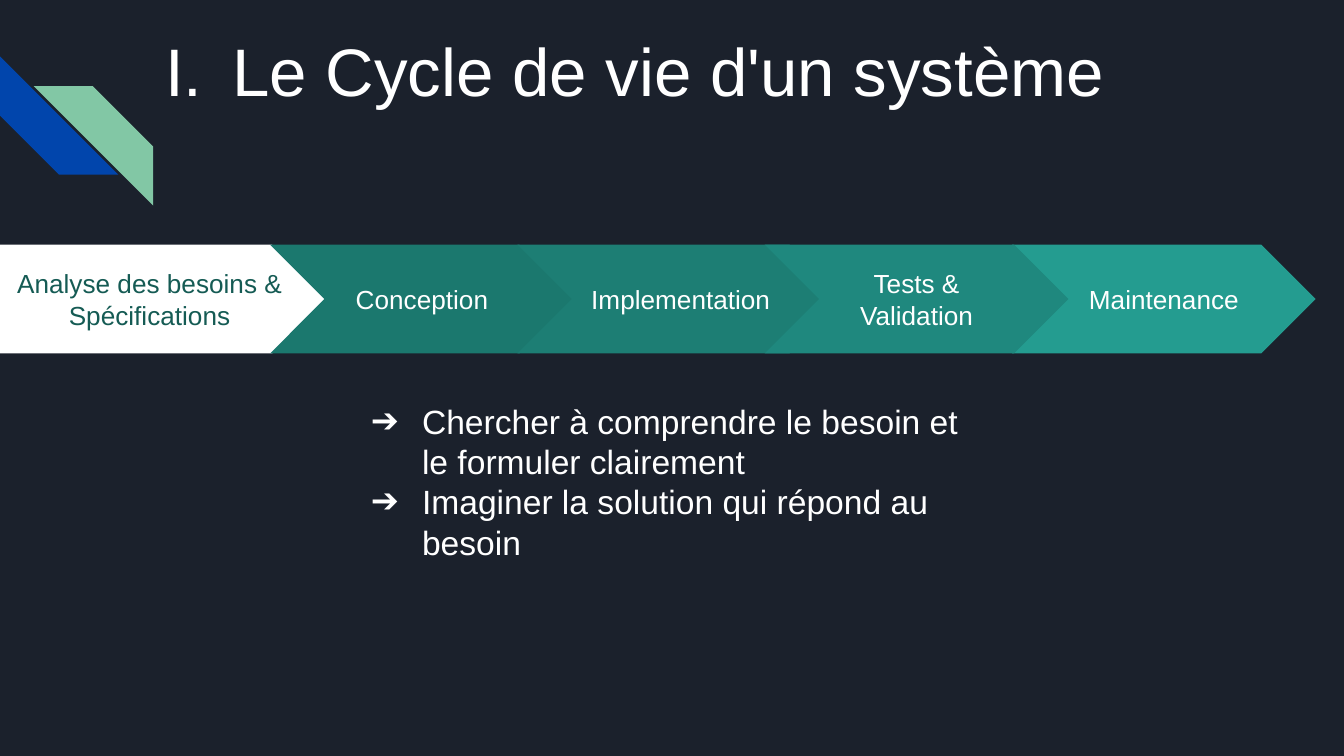
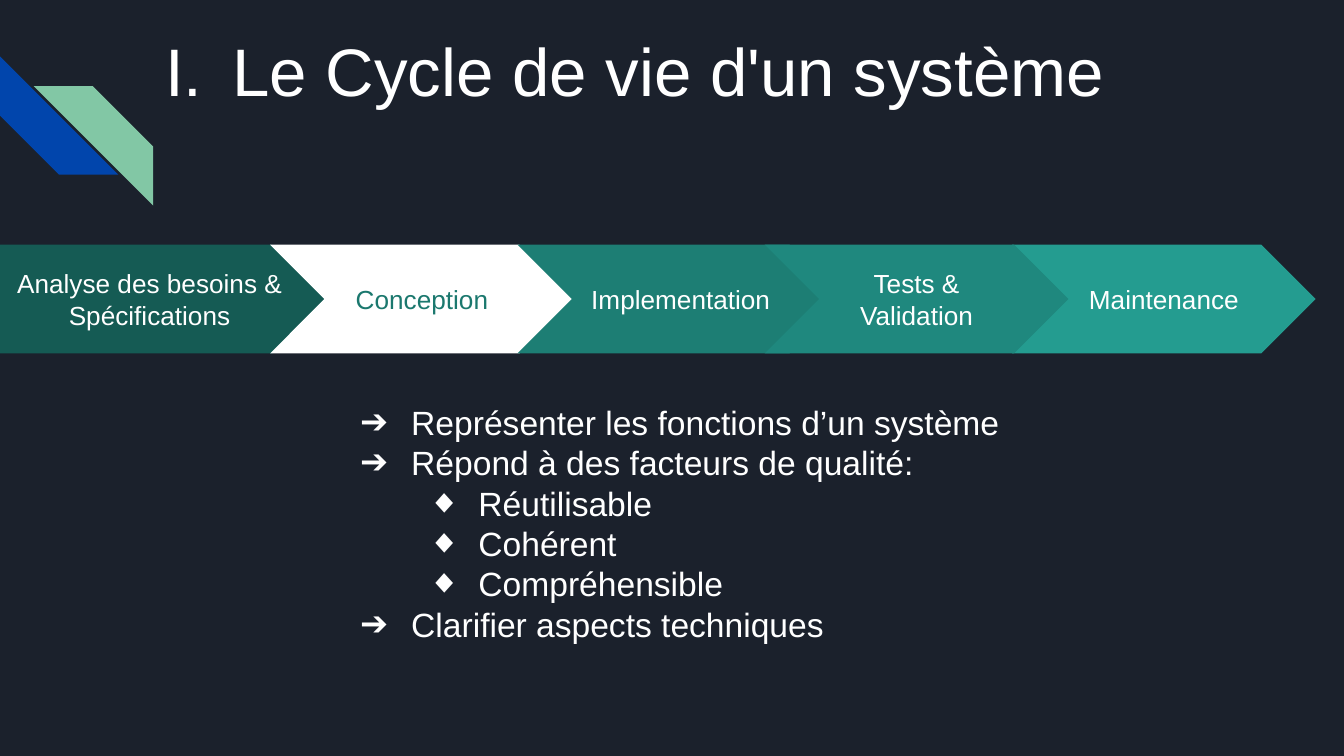
"""Build two slides that walk through the life cycle of a system."""
from dataclasses import dataclass

from lxml import etree
from pptx import Presentation
from pptx.dml.color import RGBColor
from pptx.enum.shapes import MSO_SHAPE
from pptx.enum.text import MSO_ANCHOR, MSO_AUTO_SIZE, PP_ALIGN
from pptx.oxml.ns import qn
from pptx.util import Inches, Pt

PENTAGON, CHEVRON = MSO_SHAPE.PENTAGON, MSO_SHAPE.CHEVRON
TOP, MIDDLE = MSO_ANCHOR.TOP, MSO_ANCHOR.MIDDLE
LEFT, CENTER = PP_ALIGN.LEFT, PP_ALIGN.CENTER
NO_AUTOFIT = MSO_AUTO_SIZE.NONE


@dataclass(frozen=True)
class Theme:
    font: str = "Arial"
    background: str = "1B212C"
    light: str = "FFFFFF"
    blue: str = "0145AC"
    green: str = "82C7A5"
    title_size: int = 36
    body_size: int = 18
    step_size: int = 14
    inset: float = 0.1


THEME = Theme()
SLIDE_WIDTH = Inches(10)
SLIDE_HEIGHT = SLIDE_WIDTH * 9 // 16
TITLE = "Le Cycle de vie d'un système"
TITLE_BOX = (1.13, 0.12, 8.45, 0.78)

# fields: label, lines, left, width, colour
STEPS = [
    ("Analyse des besoins & Spécifications", 2, 0, 2.43, "155B54"),
    ("Conception", 1, 2.01, 2.26, "1B786E"),
    ("Implementation", 1, 3.85, 2.43, "1D7E74"),
    ("Maintenance", 1, 7.53, 2.26, "249C90"),
    ("Tests & Validation", 2, 5.69, 2.26, "1F887E"),
]
STEP_TOP, STEP_HEIGHT = 1.82, 0.81
LABEL_HEIGHTS = {1: 0.42, 2: 0.64}

RIBBONS = [
    (THEME.blue, [(0.44, 1.3), (0, 0.86), (0, 0.42), (0.88, 1.3)]),
    (THEME.green, [(1.14, 1.09), (0.69, 0.64), (0.25, 0.64), (1.14, 1.53)]),
]

SLIDES = [
    {
        "active": "Analyse des besoins & Spécifications",
        "box": (2.54, 2.88, 4.93, 1.42),
        "points": [
            (0, "Chercher à comprendre le besoin et le formuler clairement"),
            (0, "Imaginer la solution qui répond au besoin"),
        ],
    },
    {
        "active": "Conception",
        "box": (2.46, 2.89, 5.21, 2.03),
        "points": [
            (0, "Représenter les fonctions d’un système"),
            (0, "Répond à des facteurs de qualité:"),
            (1, "Réutilisable"),
            (1, "Cohérent"),
            (1, "Compréhensible"),
            (0, "Clarifier aspects techniques"),
        ],
    },
]
ARROW, DIAMOND = "➔", "◆"


def paint(shape, colour):
    shape.shadow.inherit = False
    shape.fill.solid()
    shape.fill.fore_color.rgb = RGBColor.from_string(colour)
    shape.line.fill.background()


def place(shape, box):
    shape.left, shape.top, shape.width, shape.height = map(Inches, box)


def prepare_frame(frame, anchor):
    frame.word_wrap = True
    frame.auto_size = NO_AUTOFIT
    frame.vertical_anchor = anchor
    inset = Inches(THEME.inset)
    frame.margin_left = frame.margin_right = inset
    frame.margin_top = frame.margin_bottom = inset


def write(paragraph, text, size, colour, alignment):
    paragraph.alignment = alignment
    paragraph.space_before = Pt(0)
    run = paragraph.add_run()
    run.text = text
    run.font.name = THEME.font
    run.font.size = Pt(size)
    run.font.color.rgb = RGBColor.from_string(colour)


def add_bullet(paragraph, margin, hanging, tag, **marker):
    properties = paragraph._p.get_or_add_pPr()
    properties.set("marL", str(Inches(margin)))
    properties.set("indent", str(-Inches(hanging)))
    colour = etree.SubElement(properties, qn("a:buClr"))
    etree.SubElement(colour, qn("a:srgbClr"), val=THEME.light)
    etree.SubElement(properties, qn(tag), **marker)


def add_ribbons(slide):
    for colour, corners in RIBBONS:
        points = [(Inches(x), Inches(y)) for x, y in corners]
        builder = slide.shapes.build_freeform(*points[0])
        builder.add_line_segments(points[1:], close=True)
        paint(builder.convert_to_shape(), colour)


def add_title(slide):
    title = slide.shapes.title
    place(title, TITLE_BOX)
    prepare_frame(title.text_frame, TOP)
    heading = title.text_frame.paragraphs[0]
    write(heading, TITLE, THEME.title_size, THEME.light, LEFT)
    add_bullet(heading, 0.5, 0.5, "a:buAutoNum", type="romanUcPeriod")


def add_points(slide, box, points):
    body = slide.placeholders[1]
    place(body, box)
    frame = body.text_frame
    prepare_frame(frame, TOP)
    for index, (level, text) in enumerate(points):
        point = frame.add_paragraph() if index else frame.paragraphs[0]
        point.level = level
        write(point, text, THEME.body_size, THEME.light, LEFT)
        add_bullet(point, 0.5 * (level + 1), 0.38, "a:buChar",
                   char=DIAMOND if level else ARROW)


def add_steps(slide, active):
    half = STEP_HEIGHT / 2
    for index, (label, lines, left, width, colour) in enumerate(STEPS):
        fill, ink = (THEME.light, colour) if label == active else (colour, THEME.light)
        step = slide.shapes.add_shape(
            CHEVRON if index else PENTAGON,
            *map(Inches, (left, STEP_TOP, width, STEP_HEIGHT)))
        step.adjustments[0] = 0.5
        paint(step, fill)

        notch = half if index else 0
        label_width = width - (2 * half if index else half / 2)
        height = LABEL_HEIGHTS[lines]
        caption = slide.shapes.add_textbox(*map(Inches, (
            left + notch, STEP_TOP + half - height / 2, label_width, height)))
        prepare_frame(caption.text_frame, MIDDLE)
        write(caption.text_frame.paragraphs[0], label, THEME.step_size, ink, CENTER)


def main():
    deck = Presentation()
    deck.slide_width, deck.slide_height = SLIDE_WIDTH, SLIDE_HEIGHT
    backdrop = deck.slide_master.background.fill
    backdrop.solid()
    backdrop.fore_color.rgb = RGBColor.from_string(THEME.background)
    for content in SLIDES:
        slide = deck.slides.add_slide(deck.slide_layouts[1])
        add_ribbons(slide)
        add_title(slide)
        add_points(slide, content["box"], content["points"])
        add_steps(slide, content["active"])
    deck.save("out.pptx")


if __name__ == "__main__":
    main()
